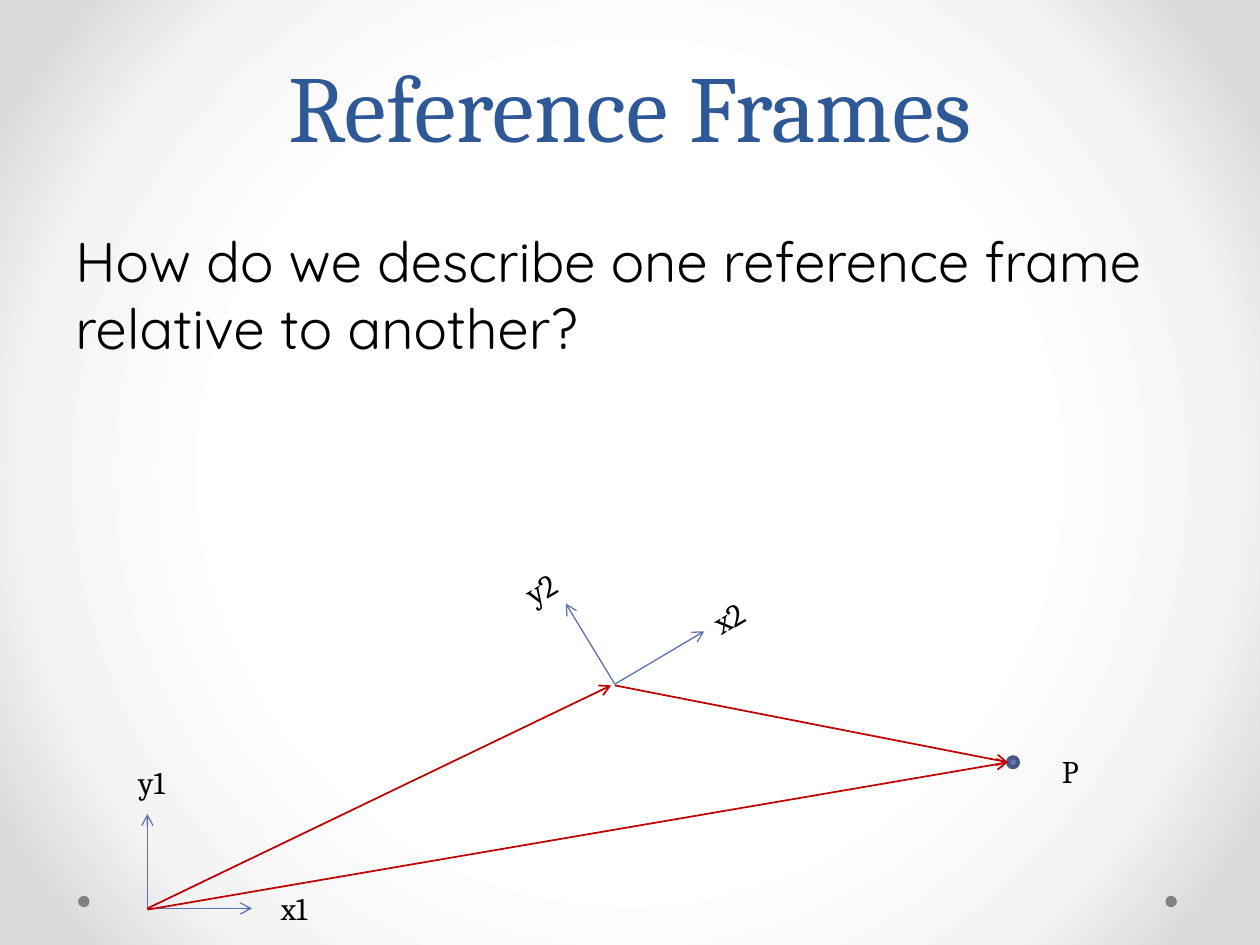
from lxml import etree
from pptx import Presentation
from pptx.dml.color import RGBColor
from pptx.enum.shapes import MSO_CONNECTOR, MSO_SHAPE
from pptx.enum.text import MSO_ANCHOR, PP_ALIGN
from pptx.oxml import parse_xml
from pptx.oxml.ns import nsdecls, qn
from pptx.util import Inches, Pt

COLORS = {
    "title": "2F5897",
    "text": "000000",
    "axis": "5C72B2",
    "vector": "C00000",
    "point": "6076B4",
    "rim": "475785",
    "dot": "808080",
}
GLOW = [(50, "FFFFFF"), (76, "F4F4F4"), (92, "DADADA")]


def rgb(name):
    return RGBColor.from_string(COLORS[name])


class Board:
    """Holds the fonts and the slide being drawn."""

    head = "Cambria"
    body = "Quicksand"

    def __init__(self, slide):
        self.slide = slide
        self.shapes = slide.shapes

    def glow(self, stops):
        """Fill the background with a circular gradient from the centre."""
        marks = "".join(
            f'<a:gs pos="{pos * 1000}"><a:srgbClr val="{tone}"/></a:gs>'
            for pos, tone in stops
        )
        back = parse_xml(
            f'<p:bg {nsdecls("p", "a")}><p:bgPr><a:gradFill rotWithShape="1">'
            f'<a:gsLst>{marks}</a:gsLst><a:path path="circle">'
            '<a:fillToRect l="50000" t="50000" r="50000" b="50000"/></a:path>'
            '</a:gradFill><a:effectLst/></p:bgPr></p:bg>'
        )
        self.slide.element.cSld.insert(0, back)

    def text(self, words, left, top, width, height, size=18, font=None,
             color="text", turn=0):
        box = self.shapes.add_textbox(
            Inches(left), Inches(top), Inches(width), Inches(height))
        box.rotation = turn
        frame = box.text_frame
        frame.word_wrap = True
        frame.text = words
        style = frame.paragraphs[0].runs[0].font
        style.name = font or self.head
        style.size = Pt(size)
        style.color.rgb = rgb(color)
        return frame

    def dot(self, left, top, size, fill, rim=None):
        disc = self.shapes.add_shape(
            MSO_SHAPE.OVAL, Inches(left), Inches(top),
            Inches(size), Inches(size))
        disc.shadow.inherit = False
        disc.fill.solid()
        disc.fill.fore_color.rgb = rgb(fill)
        if rim:
            disc.line.color.rgb = rgb(rim)
            disc.line.width = Pt(2.25)
        else:
            disc.line.fill.background()

    def arrow(self, start, end, color, width):
        line = self.shapes.add_connector(
            MSO_CONNECTOR.STRAIGHT, *(Inches(v) for v in (*start, *end)))
        line.line.color.rgb = rgb(color)
        line.line.width = Pt(width)
        tip = etree.SubElement(line.line._get_or_add_ln(), qn("a:tailEnd"))
        tip.set("type", "arrow")
        etree.SubElement(line._element.spPr, qn("a:effectLst"))


def main():
    deck = Presentation()
    deck.slide_width, deck.slide_height = Inches(10), Inches(7.5)
    board = Board(deck.slides.add_slide(deck.slide_layouts[6]))

    board.glow(GLOW)
    for left in (9.25, 0.62):
        board.dot(left, 7.11, 0.09, "dot")

    title = board.text("Reference Frames", 0.5, 0, 9, 1.75, 54, color="title")
    title.vertical_anchor = MSO_ANCHOR.MIDDLE
    title.paragraphs[0].alignment = PP_ALIGN.CENTER
    title.paragraphs[0].line_spacing = Pt(58)
    board.text("How do we describe one reference frame relative to another?",
               0.5, 1.75, 9, 4.95, 32, board.body)

    first, second, point = (1.17, 7.21), (4.88, 5.43), (8, 6.05)
    axes = [
        (first, (1.17, 6.46)),
        (first, (2, 7.21)),
        (second, (4.49, 4.79)),
        (second, (5.59, 5.01)),
    ]
    for start, end in axes:
        board.arrow(start, end, "axis", 0.75)

    board.dot(8, 6.01, 0.08, "point", "rim")

    tilt = 329.3
    labels = [
        ("P", 8.33, 5.92, 0.42, 0),
        ("y1", 1, 6.01, 0.58, 0),
        ("x1", 2.13, 7.01, 0.75, 0),
        ("x2", 5.54, 4.62, 0.75, tilt),
        ("y2", 4.05, 4.39, 0.75, tilt),
    ]
    for words, left, top, width, turn in labels:
        board.text(words, left, top, width, 0.4, turn=turn)

    vectors = [
        ((1.17, 7.22), point),
        ((4.88, 5.44), point),
        (first, (4.85, 5.44)),
    ]
    for start, end in vectors:
        board.arrow(start, end, "vector", 1)

    deck.save("out.pptx")


if __name__ == "__main__":
    main()
